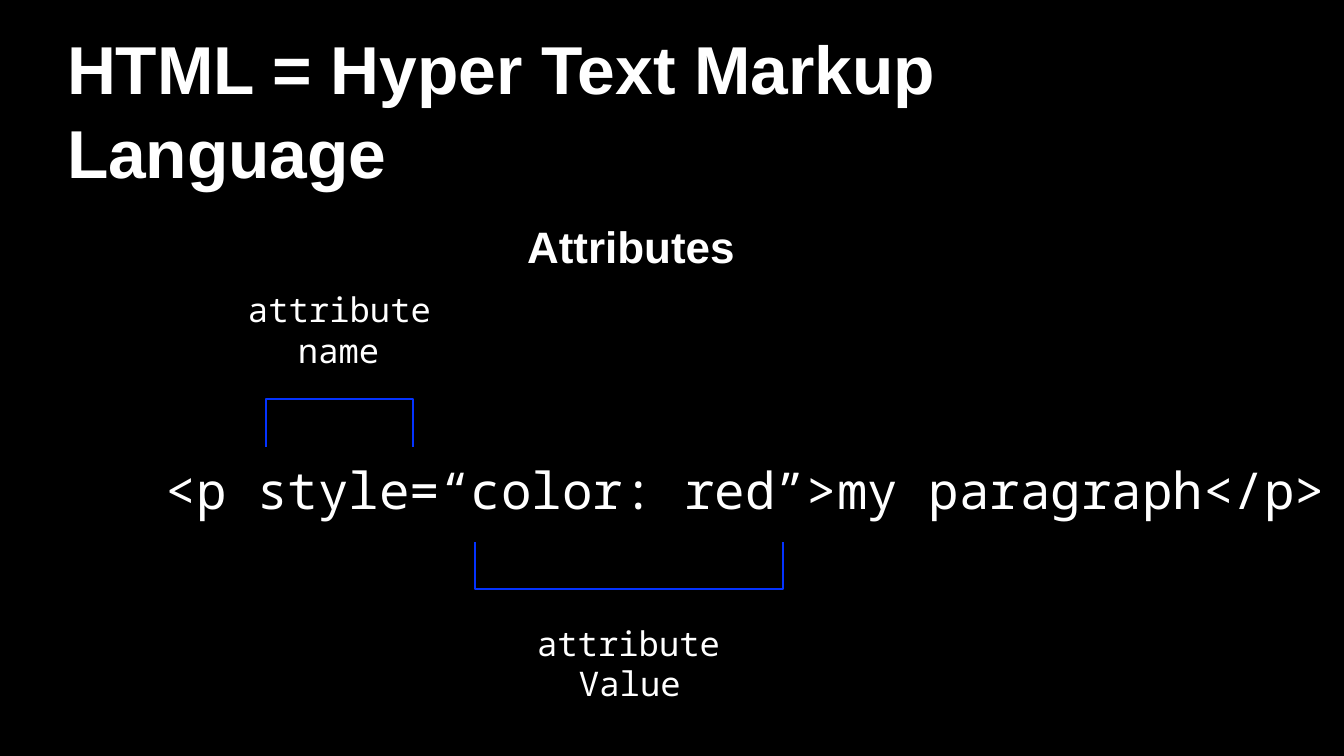
from pptx import Presentation
from pptx.dml.color import RGBColor
from pptx.enum.text import MSO_ANCHOR, MSO_AUTO_SIZE, PP_ALIGN
from pptx.util import Pt

PX = 914400 / 100.8
BLACK = RGBColor(0x00, 0x00, 0x00)
WHITE = RGBColor(0xFF, 0xFF, 0xFF)
BLUE = RGBColor(0x04, 0x33, 0xFF)
LEFT = PP_ALIGN.LEFT
TOP, MIDDLE = MSO_ANCHOR.TOP, MSO_ANCHOR.MIDDLE
NO_FIT, GROW = MSO_AUTO_SIZE.NONE, MSO_AUTO_SIZE.SHAPE_TO_FIT_TEXT


def px(length):
    return round(length * PX)


def write(box, text, *, size, font, bold=False, anchor=TOP, spacing=1.0):
    frame = box.text_frame
    frame.vertical_anchor = anchor
    para = frame.paragraphs[0]
    para.alignment = LEFT
    para.line_spacing = spacing
    para.space_before = Pt(0)
    span = para.add_run()
    span.text = text
    span.font.name = font
    span.font.size = Pt(size)
    span.font.bold = bold
    span.font.color.rgb = WHITE


# Page
deck = Presentation()
deck.slide_width, deck.slide_height = px(1344), px(756)
page = deck.slides.add_slide(deck.slide_layouts[0])
page.background.fill.solid()
page.background.fill.fore_color.rgb = BLACK

# Title and subtitle
title, subtitle = page.placeholders
headings = [
    (title, "HTML = Hyper Text Markup Language", (57, 21, 979, 174), 48.4, 1.04),
    (subtitle, "Attributes", (517, 214, 327, 64), 31.4, 1.0),
]
for box, text, place, size, spacing in headings:
    box.left, box.top, box.width, box.height = map(px, place)
    box.text_frame.auto_size = NO_FIT
    write(box, text, size=size, font="Arial", bold=True, anchor=MIDDLE,
          spacing=spacing)

# Code line and the labels of its parts
code_texts = [
    ("<p style=“color: red”>my paragraph</p>", (166, 459, 1170, 58), 36.3),
    ("attribute", (248, 289, 184, 38), 24.2),
    ("name", (298, 330, 82, 38), 24.2),
    ("attribute", (537, 623, 184, 38), 24.2),
    ("Value", (579, 663, 103, 38), 24.2),
]
for text, place, size in code_texts:
    box = page.shapes.add_textbox(*map(px, place))
    frame = box.text_frame
    frame.margin_left = frame.margin_right = 0
    frame.margin_top = frame.margin_bottom = 0
    frame.word_wrap = False
    frame.auto_size = GROW
    write(box, text, size=size, font="Noto Sans Mono")

# Brackets: left, right, open end, closed end
for left, right, open_end, closed_end in [(266, 413, 447, 399), (475, 783, 542, 589)]:
    outline = page.shapes.build_freeform(left, open_end, scale=PX)
    outline.add_line_segments(
        [(left, closed_end), (right, closed_end), (right, open_end)], close=False)
    bracket = outline.convert_to_shape()
    bracket.shadow.inherit = False
    bracket.fill.background()
    bracket.line.color.rgb = BLUE
    bracket.line.width = Pt(2)

deck.save("out.pptx")
